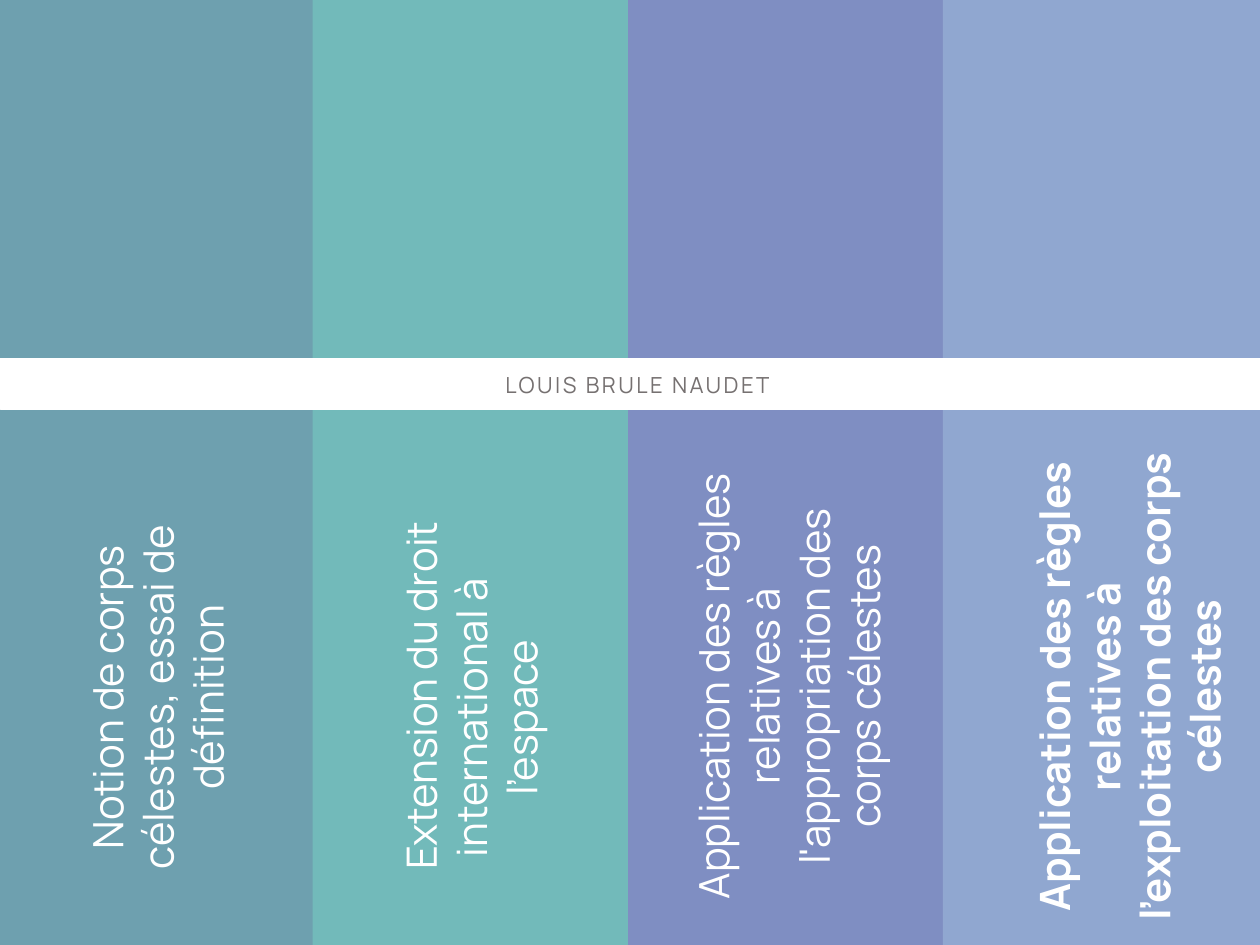
"""Build the four-part outline slide with coloured columns and an author band."""
import pptx
import pptx.util
import pptx.dml.color
import pptx.enum.shapes
import pptx.enum.text

Inches = pptx.util.Inches
Pt = pptx.util.Pt


def add_rect(shapes, box, fill, line):
    sp = shapes.add_shape(pptx.enum.shapes.MSO_SHAPE.RECTANGLE, *map(Inches, box))
    sp.shadow.inherit = False
    sp.fill.solid()
    sp.fill.fore_color.rgb = pptx.dml.color.RGBColor.from_string(fill)
    sp.line.color.rgb = pptx.dml.color.RGBColor.from_string(line)
    sp.line.width = Pt(0.25)


def add_label(shapes, box, text, size, color, bold=False):
    sp = shapes.add_textbox(*map(Inches, box))
    tf = sp.text_frame
    tf.word_wrap = True
    tf.margin_left = tf.margin_right = tf.margin_top = tf.margin_bottom = Inches(0.03)
    p = tf.paragraphs[0]
    p.alignment = pptx.enum.text.PP_ALIGN.CENTER
    r = p.add_run()
    r.text = text
    r.font.name = "Manrope"
    r.font.size = Pt(size)
    r.font.bold = bold
    r.font.color.rgb = pptx.dml.color.RGBColor.from_string(color)
    return sp


prs = pptx.Presentation()
prs.slide_width = Inches(14.22)
prs.slide_height = Inches(10.67)
s = prs.slides.add_slide(prs.slide_layouts[6])

columns = [
    ((-0.02, -0.02, 3.57, 11.98), "6EA0AF", "6EA0AF"),
    ((3.53, -0.02, 3.56, 11.98), "72BABA", "72BABA"),
    ((7.09, -0.01, 3.56, 11.96), "7F8EC2", "7F8EC2"),
    ((10.64, -0.01, 3.6, 11.96), "90A7D0", "91A7D0"),
]
for box, fill, line in columns:
    add_rect(s.shapes, box, fill, line)

titles = [
    ((-0.76, 7.01, 5.03, 1.73), "Notion de corps célestes, essai de définition", 0, False),
    ((2.78, 7.24, 5.03, 1.73), "Extension du droit international à l’espace", 0.5, False),
    ((6.19, 6.61, 5.36, 2.28),
     "Application des règles relatives à l'appropriation des corps célestes", 0, False),
    ((9.76, 6.89, 5.36, 1.73),
     "Application des règles relatives à l’exploitation des corps célestes", 0, True),
]
for box, text, indent, bold in titles:
    sp = add_label(s.shapes, box, text, 34, "FFFFFF", bold)
    sp.rotation = 270
    sp.text_frame.auto_size = pptx.enum.text.MSO_AUTO_SIZE.SHAPE_TO_FIT_TEXT
    if indent:
        pPr = sp.text_frame.paragraphs[0]._p.get_or_add_pPr()
        pPr.set("marL", "0")
        pPr.set("indent", str(Inches(indent)))

band = s.shapes.add_group_shape()
add_rect(band.shapes, (0, 4.05, 14.22, 0.57), "FFFFFF", "FFFFFF")
author = add_label(band.shapes, (0, 4.1, 14.22, 0.48), "LOUIS BRULE NAUDET", 18, "767171")
author.text_frame.vertical_anchor = pptx.enum.text.MSO_ANCHOR.MIDDLE
author.text_frame.margin_left = Inches(0.2)
author.text_frame.paragraphs[0].runs[0].font._element.set("spc", "200")

prs.save("out.pptx")
